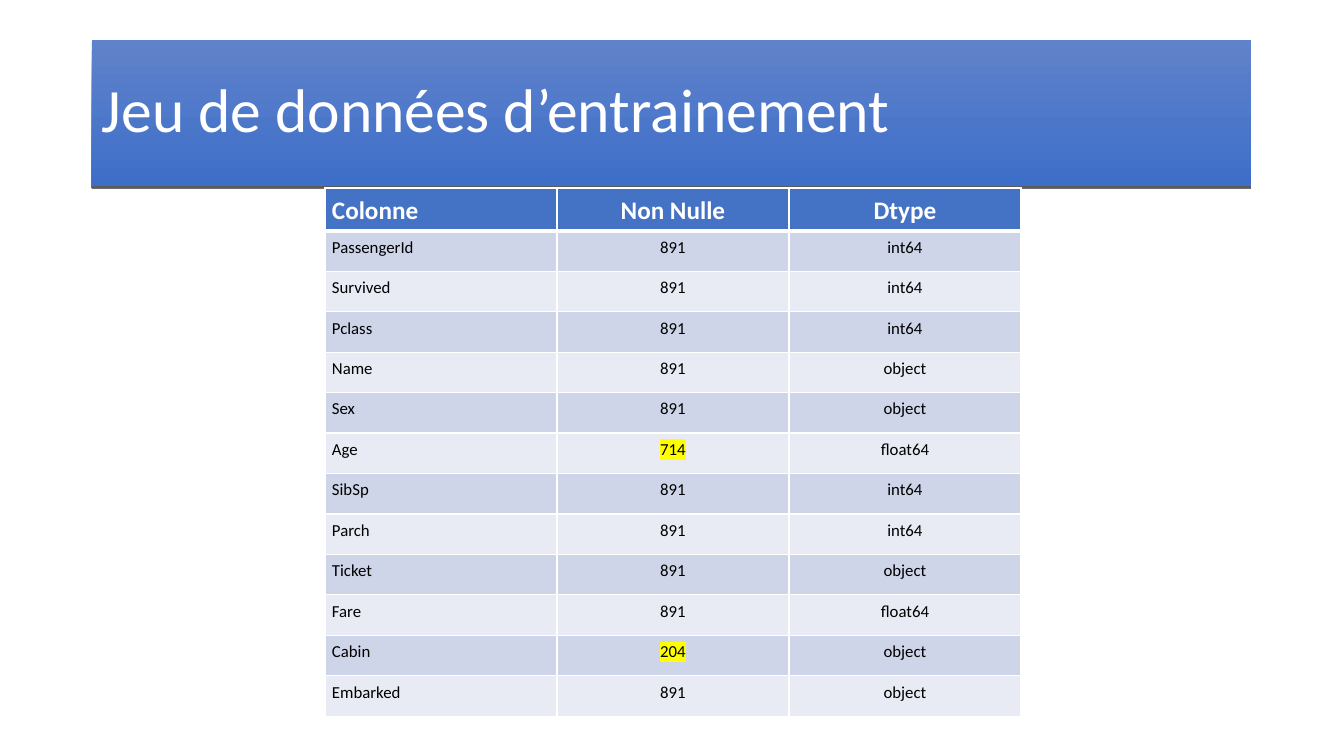
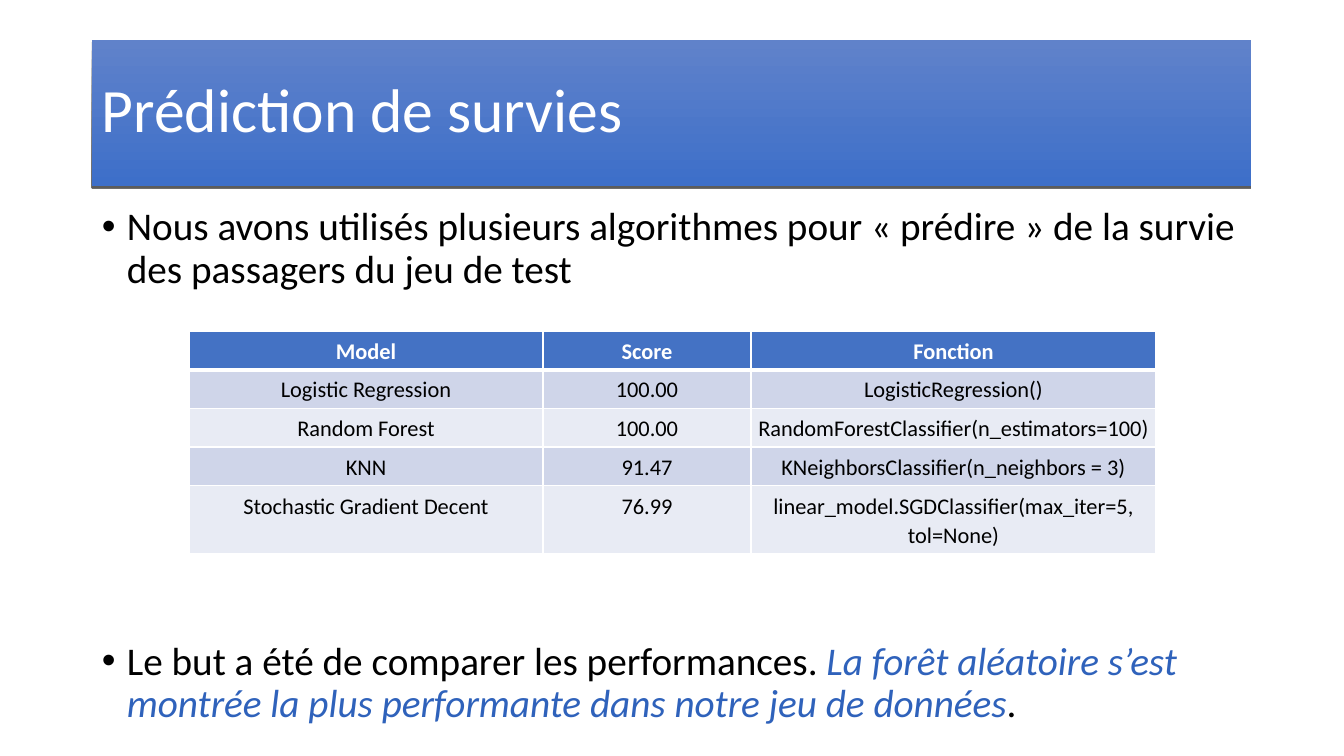
import dataclasses

import lxml.etree
import pptx
import pptx.dml.color
import pptx.enum.shapes
import pptx.enum.text
import pptx.oxml.ns
import pptx.util

qn = pptx.oxml.ns.qn
Pt = pptx.util.Pt
ALIGN = pptx.enum.text.PP_ALIGN
PX = 12192000 / 1344


@dataclasses.dataclass(frozen=True)
class Theme:
    font: str = "Calibri"
    white: str = "FFFFFF"
    black: str = "000000"
    accent: str = "2F62BB"
    header: str = "4472C4"
    bands: tuple = ("CFD5E9", "E8EBF4")
    banner: tuple = ("6082CA", "3D6FC9")
    marker: str = "FFFF00"
    title_size: int = 44
    body_size: int = 28
    tight: float = 0.9
    cell_spacing: float = 1.07
    thin: float = 0.96
    thick: float = 3


theme = Theme()


def format_run(span, size, color, bold=False, italic=False, marker=None):
    font = span.font
    font.name, font.size, font.bold, font.italic = theme.font, Pt(size), bold, italic
    font.color.rgb = pptx.dml.color.RGBColor.from_string(color)
    if marker:
        highlight = lxml.etree.Element(qn("a:highlight"))
        lxml.etree.SubElement(highlight, qn("a:srgbClr"), val=marker)
        font._element.find(qn("a:latin")).addprevious(highlight)


def add_grid(slide, left, top, widths, height, rows, sizes, inset, first_align, marked=()):
    frame = slide.shapes.add_table(
        len(rows), len(widths), round(left * PX), round(top * PX),
        round(sum(widths) * PX), round(height * PX))
    table = frame.table
    table.horz_banding = False
    for column, width in zip(table.columns, widths):
        column.width = round(width * PX)
    for row_index, values in enumerate(rows):
        is_header = row_index == 0
        fill_color = theme.header if is_header else theme.bands[(row_index - 1) % 2]
        borders = {"L": theme.thin, "R": theme.thin,
                   "T": theme.thick if row_index == 1 else theme.thin,
                   "B": theme.thick if is_header else theme.thin}
        for column_index, value in enumerate(values):
            cell = table.cell(row_index, column_index)
            cell.margin_left = cell.margin_right = round(inset * PX)
            cell.margin_top = cell.margin_bottom = round(5 * PX)
            properties = cell._tc.get_or_add_tcPr()
            for side, weight in borders.items():
                line = lxml.etree.SubElement(properties, qn("a:ln" + side), w=str(Pt(weight)))
                solid = lxml.etree.SubElement(line, qn("a:solidFill"))
                lxml.etree.SubElement(solid, qn("a:srgbClr"), val=theme.white)
            cell.fill.solid()
            cell.fill.fore_color.rgb = pptx.dml.color.RGBColor.from_string(fill_color)
            para = cell.text_frame.paragraphs[0]
            para.text = value
            para.alignment = ALIGN.CENTER if column_index else first_align
            para.line_spacing = theme.cell_spacing
            format_run(para.runs[0], sizes[0 if is_header else 1],
                       theme.white if is_header else theme.black, bold=is_header,
                       marker=theme.marker if value in marked else None)


deck = pptx.Presentation()
deck.slide_width, deck.slide_height = round(1344 * PX), round(756 * PX)

pages = []
for title in ("Jeu de données d’entrainement", "Prédiction de survies"):
    page = deck.slides.add_slide(deck.slide_layouts[6])
    banner = page.shapes.add_shape(
        pptx.enum.shapes.MSO_SHAPE.RECTANGLE,
        round(92 * PX), round(40 * PX), round(1159 * PX), round(146 * PX))
    banner.line.fill.background()
    banner.fill.gradient()
    banner.fill.gradient_angle = 270
    for stop, color, position in zip(banner.fill.gradient_stops, theme.banner, (0, 1)):
        stop.color.rgb = pptx.dml.color.RGBColor.from_string(color)
        stop.position = position
    banner.shadow.inherit = False
    shadow = lxml.etree.SubElement(
        banner._element.spPr.find(qn("a:effectLst")), qn("a:outerShdw"),
        blurRad="0", dist=str(Pt(1.5)), dir="5400000", algn="ctr", rotWithShape="0")
    shade = lxml.etree.SubElement(shadow, qn("a:srgbClr"), val=theme.black)
    lxml.etree.SubElement(shade, qn("a:alpha"), val="63000")
    banner.text_frame.text = title
    banner.text_frame.word_wrap = True
    banner.text_frame.vertical_anchor = pptx.enum.text.MSO_ANCHOR.MIDDLE
    para = banner.text_frame.paragraphs[0]
    para.alignment = ALIGN.LEFT
    para.line_spacing = theme.tight
    format_run(para.runs[0], theme.title_size, theme.white)
    pages.append(page)

training_page, prediction_page = pages

training_rows = [
    ("Colonne", "Non Nulle", "Dtype"),
    ("PassengerId", "891", "int64"),
    ("Survived", "891", "int64"),
    ("Pclass", "891", "int64"),
    ("Name", "891", "object"),
    ("Sex", "891", "object"),
    ("Age", "714", "float64"),
    ("SibSp", "891", "int64"),
    ("Parch", "891", "int64"),
    ("Ticket", "891", "object"),
    ("Fare", "891", "float64"),
    ("Cabin", "204", "object"),
    ("Embarked", "891", "object"),
]
add_grid(training_page, 325, 188, (232, 232, 232), 526, training_rows,
         sizes=(18, 12), inset=7, first_align=ALIGN.LEFT, marked=("714", "204"))

bullets = [
    (10, [("Nous avons utilisés plusieurs algorithmes pour « prédire » de la survie "
           "des passagers du jeu de test", theme.black, False)]),
    (250, [("Le but a été de comparer les performances. ", theme.black, False),
           ("La forêt aléatoire s’est montrée la plus performante dans notre jeu de données",
            theme.accent, True),
           (".", theme.black, False)]),
]
box = prediction_page.shapes.add_textbox(
    round(92 * PX), round(202 * PX), round(1159 * PX), round(480 * PX))
box.text_frame.word_wrap = True
for index, (space_before, pieces) in enumerate(bullets):
    para = box.text_frame.add_paragraph() if index else box.text_frame.paragraphs[0]
    para.line_spacing = theme.tight
    para.space_before = Pt(space_before)
    properties = para._p.get_or_add_pPr()
    properties.set("marL", str(round(25 * PX)))
    properties.set("indent", str(round(-25 * PX)))
    bullet_color = lxml.etree.SubElement(properties, qn("a:buClr"))
    lxml.etree.SubElement(bullet_color, qn("a:srgbClr"), val=theme.black)
    lxml.etree.SubElement(properties, qn("a:buFont"), typeface="Arial")
    lxml.etree.SubElement(properties, qn("a:buChar"), char="•")
    for text, color, italic in pieces:
        span = para.add_run()
        span.text = text
        format_run(span, theme.body_size, color, italic=italic)

model_rows = [
    ("Model", "Score", "Fonction"),
    ("Logistic Regression", "100.00", "LogisticRegression()"),
    ("Random Forest", "100.00", "RandomForestClassifier(n_estimators=100)"),
    ("KNN", "91.47", "KNeighborsClassifier(n_neighbors = 3)"),
    ("Stochastic Gradient Decent", "76.99", "linear_model.SGDClassifier(max_iter=5, tol=None)"),
]
add_grid(prediction_page, 189, 331, (354, 208, 405), 190, model_rows,
         sizes=(16, 16), inset=1, first_align=ALIGN.CENTER)

deck.save("out.pptx")
